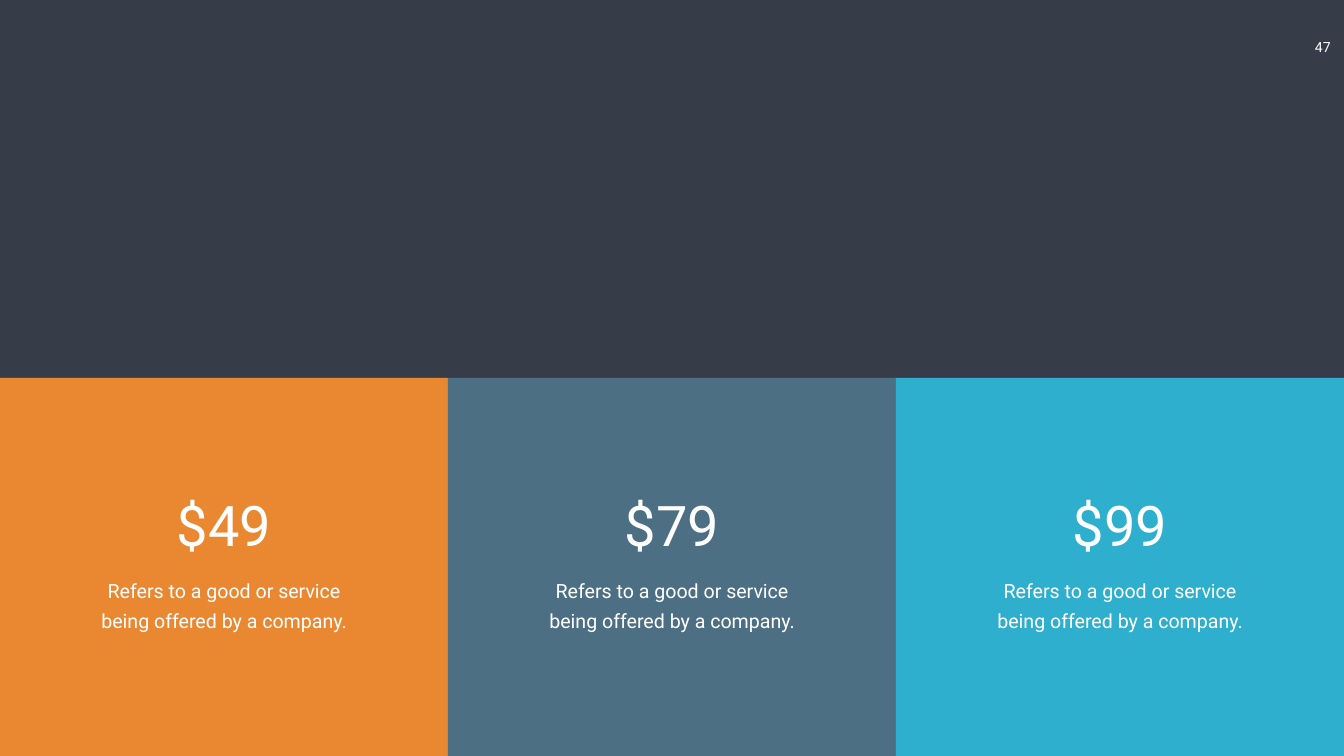
from dataclasses import dataclass

from pptx import Presentation
from pptx.dml.color import RGBColor
from pptx.enum.shapes import MSO_SHAPE
from pptx.enum.text import MSO_AUTO_SIZE, PP_ALIGN
from pptx.slide import Slide
from pptx.util import Inches, Pt

RECTANGLE = MSO_SHAPE.RECTANGLE
CENTER = PP_ALIGN.CENTER
GROW = MSO_AUTO_SIZE.SHAPE_TO_FIT_TEXT
BLANK_LAYOUT = 6

# Slide grid: three columns across the lower half
WIDTH, HEIGHT = 26.66, 15
COLUMNS = 3
COLUMN_WIDTH = WIDTH / COLUMNS
PANEL_TOP = HEIGHT / 2


@dataclass(frozen=True)
class Theme:
    font: str = "Roboto"
    background: str = "363D48"
    text: str = "FFFFFF"
    orange: str = "EA8831"
    slate: str = "4D6F84"
    cyan: str = "2FAFCE"
    number_size: int = 20
    price_size: int = 80
    description_size: int = 28
    description_leading: int = 43


@dataclass(frozen=True)
class Plan:
    price: str
    description: str
    color: str


THEME = Theme()
OFFER = "Refers to a good or service being offered by a company."
PLANS = (
    Plan("$49", OFFER, THEME.orange),
    Plan("$79", OFFER, THEME.slate),
    Plan("$99", OFFER, THEME.cyan),
)


def add_text(slide: Slide, text: str, *, center: float, top: float,
             width: float, height: float, size: int, wrap: bool = False,
             inset: tuple[float, float] = (0.1, 0.05),
             leading: int | None = None) -> None:
    """Add a text box centred on a horizontal position, in inches."""
    box = slide.shapes.add_textbox(Inches(center - width / 2), Inches(top),
                                   Inches(width), Inches(height))
    frame = box.text_frame
    frame.word_wrap = wrap
    frame.auto_size = GROW
    frame.margin_left = frame.margin_right = Inches(inset[0])
    frame.margin_top = frame.margin_bottom = Inches(inset[1])
    paragraph = frame.paragraphs[0]
    paragraph.alignment = CENTER
    if leading:
        paragraph.line_spacing = Pt(leading)
    run = paragraph.add_run()
    run.text = text
    run.font.name = THEME.font
    run.font.size = Pt(size)
    run.font.color.rgb = RGBColor.from_string(THEME.text)


def add_panel(slide: Slide, column: int, color: str) -> None:
    panel = slide.shapes.add_shape(
        RECTANGLE, Inches(column * COLUMN_WIDTH), Inches(PANEL_TOP),
        Inches(COLUMN_WIDTH), Inches(HEIGHT - PANEL_TOP))
    panel.shadow.inherit = False
    panel.fill.solid()
    panel.fill.fore_color.rgb = RGBColor.from_string(color)
    panel.line.fill.background()


def add_plan_text(slide: Slide, column: int, plan: Plan) -> None:
    center = (column + 0.5) * COLUMN_WIDTH
    add_text(slide, plan.price, center=center, top=9.69, width=2.1,
             height=1.45, size=THEME.price_size)
    add_text(slide, plan.description, center=center, top=11.23, width=5.45,
             height=1.39, size=THEME.description_size, wrap=True,
             inset=(0.24, 0.12), leading=THEME.description_leading)


def main() -> None:
    deck = Presentation()
    deck.slide_width, deck.slide_height = Inches(WIDTH), Inches(HEIGHT)
    slide = deck.slides.add_slide(deck.slide_layouts[BLANK_LAYOUT])
    slide.background.fill.solid()
    slide.background.fill.fore_color.rgb = RGBColor.from_string(THEME.background)

    # Page number
    add_text(slide, "47", center=26.24, top=0.67, width=0.84, height=0.54,
             size=THEME.number_size, inset=(0.2, 0.1))

    # Price panels, then their text
    for column, plan in enumerate(PLANS):
        add_panel(slide, column, plan.color)
    for column, plan in enumerate(PLANS):
        add_plan_text(slide, column, plan)

    deck.save("out.pptx")


if __name__ == "__main__":
    main()
